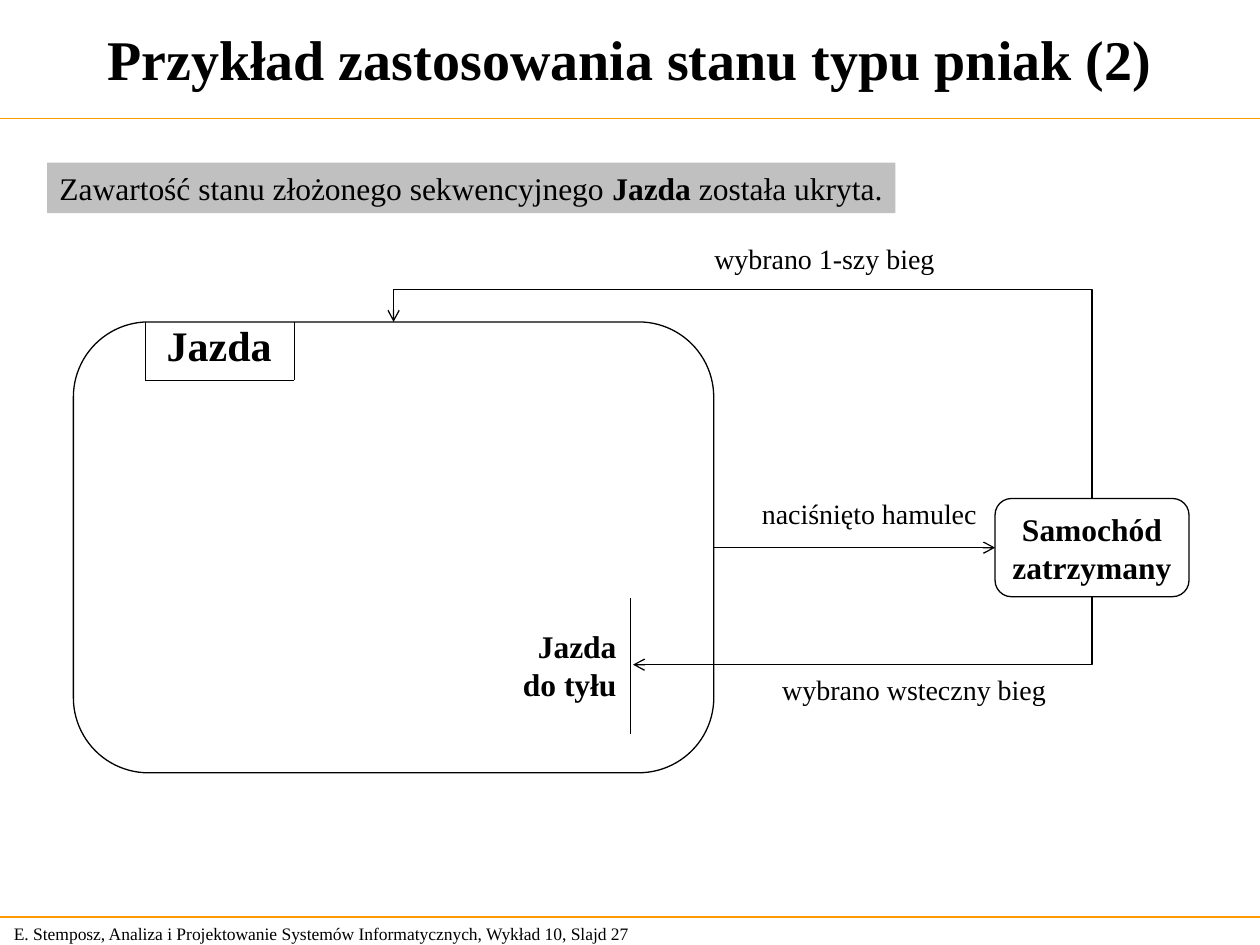
from lxml.etree import SubElement
from pptx import Presentation
from pptx.dml.color import RGBColor
from pptx.enum.shapes import MSO_CONNECTOR as LINE, MSO_SHAPE as SHAPE
from pptx.enum.text import MSO_ANCHOR as ANCHOR, PP_ALIGN as ALIGN
from pptx.oxml.ns import qn
from pptx.util import Cm, Pt

FONT = "Times New Roman"
BLACK, WHITE, ORANGE, GREY = "000000", "FFFFFF", "FF9900", "C0C0C0"
SLIDE_W, SLIDE_H = 25.4, 19.05


def rgb(color):
    return RGBColor.from_string(color)


def style_line(s, color=BLACK, arrow=False, width=0.75):
    s.line.color.rgb = rgb(color)
    s.line.width = Pt(width)
    if arrow:
        SubElement(s.line._get_or_add_ln(), qn("a:tailEnd"), type="arrow")


def add_line(slide, x1, y1, x2, y2, **style):
    c = slide.shapes.add_connector(LINE.STRAIGHT, Cm(x1), Cm(y1), Cm(x2), Cm(y2))
    style_line(c, **style)
    SubElement(c._element.spPr, qn("a:effectLst"))


def add_bent_arrow(slide, *points):
    start, *rest = [(Cm(x), Cm(y)) for x, y in points]
    builder = slide.shapes.build_freeform(*start, scale=1.0)
    builder.add_line_segments(rest, close=False)
    s = builder.convert_to_shape()
    s.shadow.inherit = False
    s.fill.background()
    style_line(s, arrow=True)


def write(s, paragraphs, size, bold=False, align=ALIGN.LEFT, anchor=ANCHOR.TOP, wrap=False):
    """Fill a shape with paragraphs, each a list of (text, bold) runs or a string."""
    tf = s.text_frame
    tf.word_wrap = wrap
    tf.vertical_anchor = anchor
    for i, content in enumerate(paragraphs):
        p = tf.add_paragraph() if i else tf.paragraphs[0]
        p.alignment = align
        for text, is_bold in [(content, bold)] if isinstance(content, str) else content:
            r = p.add_run()
            r.text = text
            r.font.name, r.font.size, r.font.bold = FONT, Pt(size), is_bold
            r.font.color.rgb = rgb(BLACK)


def add_text(slide, x, y, w, h, paragraphs, size, **options):
    s = slide.shapes.add_textbox(Cm(x), Cm(y), Cm(w), Cm(h))
    write(s, paragraphs, size, **options)
    return s


def add_state(slide, x, y, w, h):
    s = slide.shapes.add_shape(SHAPE.ROUNDED_RECTANGLE, Cm(x), Cm(y), Cm(w), Cm(h))
    s.shadow.inherit = False
    s.fill.solid()
    s.fill.fore_color.rgb = rgb(WHITE)
    style_line(s)
    return s


def add_frame(slide, title, footer, header_y=2.39, footer_y=18.48):
    add_text(slide, 0, 0, SLIDE_W, 2.34, [title], 32, bold=True,
             align=ALIGN.CENTER, anchor=ANCHOR.MIDDLE, wrap=True)
    add_text(slide, 0.03, footer_y, 13.31, 0.69, [footer], 10,
             anchor=ANCHOR.MIDDLE, wrap=True)
    for y in (header_y, footer_y):
        add_line(slide, 0, y, SLIDE_W, y, color=ORANGE, width=1)


def add_note(slide, x, y, w, h):
    runs = [("Zawartość stanu złożonego sekwencyjnego ", False),
            ("Jazda ", True), ("została ukryta.", False)]
    s = add_text(slide, x, y, w, h, [runs], 18)
    s.text_frame.margin_right = 0  # keeps the sentence on one line
    s.fill.solid()
    s.fill.fore_color.rgb = rgb(GREY)


def add_composite_state(slide, x, y, w, h):
    """Large state with its name tab and the stub state inside."""
    add_state(slide, x, y, w, h)
    left, right, bottom = x + 1.45, x + 4.45, y + 1.18
    add_line(slide, left, y, left, bottom)
    add_line(slide, right, y, right, bottom)
    add_line(slide, left, bottom, right, bottom)
    add_text(slide, x + 1.63, y - 0.18, 2.62, 1.27, ["Jazda"], 24, bold=True)
    add_text(slide, x + 8.61, y + 5.92, 2.59, 1.98, ["Jazda", "do tyłu"], 18,
             bold=True, align=ALIGN.RIGHT, anchor=ANCHOR.MIDDLE)
    add_line(slide, x + 11.23, y + 5.57, x + 11.23, y + 8.31)


def add_stopped_state(slide, x, y, w, h):
    s = add_state(slide, x, y, w, h)
    write(s, ["Samochód", "zatrzymany"], 18, bold=True,
          align=ALIGN.CENTER, anchor=ANCHOR.MIDDLE)


def add_transitions(slide, drive, stopped):
    """Arrows and their labels between the two state boxes."""
    dx, dy, dw, _ = drive
    sx, sy, sw, sh = stopped
    mid_x, mid_y = sx + sw / 2, sy + sh / 2
    top_y, stub_y = dy - 0.65, sy + sh + 1.37
    add_bent_arrow(slide, (mid_x, sy), (mid_x, top_y), (dx + dw / 2, top_y),
                   (dx + dw / 2, dy))
    add_line(slide, dx + dw, mid_y, sx, mid_y, arrow=True)
    add_bent_arrow(slide, (mid_x, sy + sh), (mid_x, stub_y), (dx + 11.28, stub_y))
    for text, x, y, w in (("wybrano 1-szy bieg", 14.15, top_y - 1.09, 4.95),
                          ("naciśnięto hamulec", 15.11, mid_y - 1.16, 4.83),
                          ("wybrano wsteczny bieg", 15.52, stub_y + 0.03, 5.82)):
        add_text(slide, x, y, w, 0.94, [text], 16)


def main():
    prs = Presentation()
    prs.slide_width, prs.slide_height = Cm(SLIDE_W), Cm(SLIDE_H)
    slide = prs.slides.add_slide(prs.slide_layouts[6])
    drive, stopped = (1.48, 6.49, 12.91, 9.09), (20.06, 10.05, 3.91, 1.98)
    add_frame(slide, "Przykład zastosowania stanu typu pniak (2)",
              "E. Stemposz, Analiza i Projektowanie Systemów Informatycznych, "
              "Wykład 10, Slajd 27")
    add_note(slide, 0.95, 3.28, 17.1, 1.02)
    add_composite_state(slide, *drive)
    add_stopped_state(slide, *stopped)
    add_transitions(slide, drive, stopped)
    prs.save("out.pptx")


if __name__ == "__main__":
    main()
